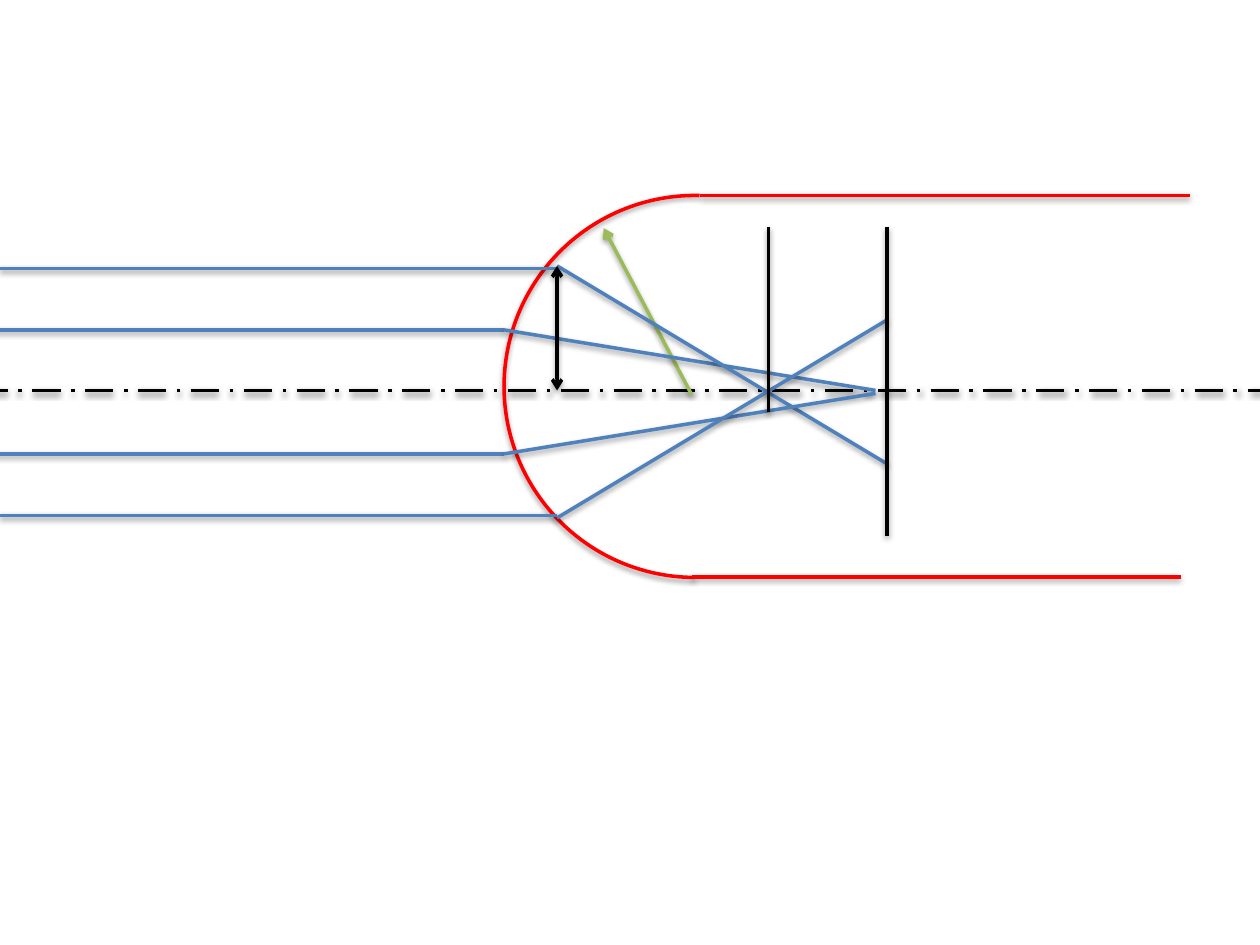
from lxml import etree
from pptx import Presentation
from pptx.dml.color import RGBColor
from pptx.enum import dml, shapes
from pptx.oxml import parse_xml
from pptx.oxml.ns import nsdecls, qn
from pptx.util import Cm, Pt

RED, BLUE, GREEN, BLACK = "FF0000", "4F81BD", "9BBB59", "000000"
SHADOW = (f'<a:effectLst {nsdecls("a")}><a:outerShdw blurRad="40000" dist="20000" '
          'dir="5400000" rotWithShape="0"><a:srgbClr val="000000">'
          '<a:alpha val="38000"/></a:srgbClr></a:outerShdw></a:effectLst>')


def style(sp, color):
    """Give a shape or connector its 2 pt line and soft shadow."""
    sp.line.color.rgb = RGBColor.from_string(color)
    sp.line.width = Pt(2)
    sp._element.spPr.append(parse_xml(SHADOW))


def add_line(parent, x1, y1, x2, y2, color, arrows=()):
    """Draw a straight line; arrows lists the ends (headEnd, tailEnd) with a tip."""
    sp = parent.shapes.add_connector(
        shapes.MSO_CONNECTOR.STRAIGHT, Cm(x1), Cm(y1), Cm(x2), Cm(y2))
    style(sp, color)
    for end in arrows:
        etree.SubElement(sp.line._get_or_add_ln(), qn(f"a:{end}"), type="arrow")
    return sp


prs = Presentation()
prs.slide_width, prs.slide_height = Cm(25.4), Cm(19.05)
s = prs.slides.add_slide(prs.slide_layouts[6])

# Rod with a rounded front end
arc = s.shapes.add_shape(shapes.MSO_SHAPE.ARC, Cm(10.16), Cm(3.94), Cm(7.7), Cm(7.7))
arc.rotation = 180
arc.adjustments[0], arc.adjustments[1] = 162, 54.806
arc.fill.background()
style(arc, RED)
add_line(s, 14.12, 3.94, 23.98, 3.94, RED)
add_line(s, 13.94, 11.63, 23.8, 11.63, RED)

# Optical axis
axis = add_line(s, -0.41, 7.87, 25.81, 7.87, BLACK)
axis.line.dash_style = dml.MSO_LINE.LONG_DASH_DOT

# Rays above the axis with the radius arrow, then their mirror image below
rays = [
    (0, 5.41, 11.23, 5.41),
    (-0.41, 6.65, 10.16, 6.65),
    (10.16, 6.65, 17.65, 7.87),
    (11.23, 5.36, 17.88, 9.35),
]
mirror_y = 7.9

upper = s.shapes.add_group_shape()
add_line(upper, 13.94, 7.95, 12.17, 4.6, GREEN, ["tailEnd"])
for ray in rays:
    add_line(upper, *ray, BLUE)

lower = s.shapes.add_group_shape()
for x1, y1, x2, y2 in rays:
    add_line(lower, x1, 2 * mirror_y - y1, x2, 2 * mirror_y - y2, BLUE)

# Ray height and the two focal planes
add_line(s, 11.23, 5.36, 11.23, 7.87, BLACK, ["headEnd", "tailEnd"])
for x, bottom in [(17.88, 10.8), (15.49, 8.31)]:
    add_line(s, x, 4.57, x, bottom, BLACK)

prs.save("out.pptx")
